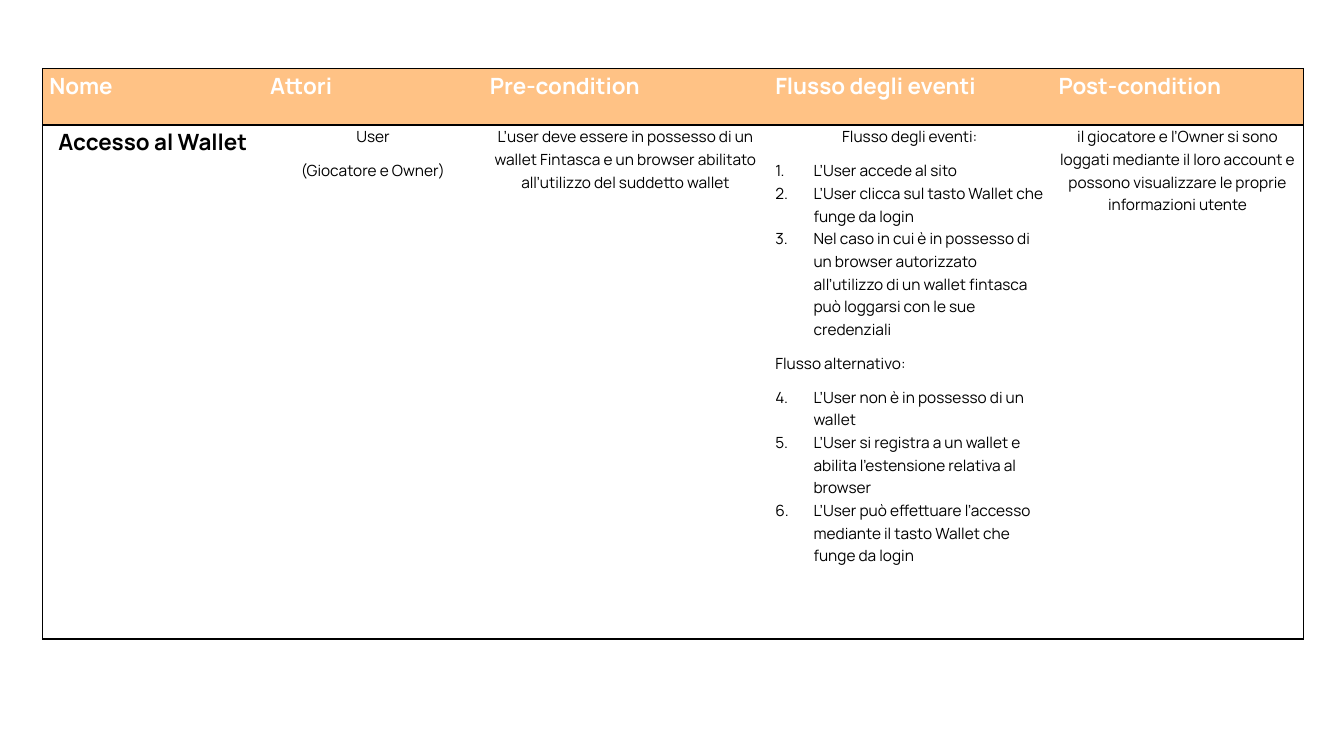
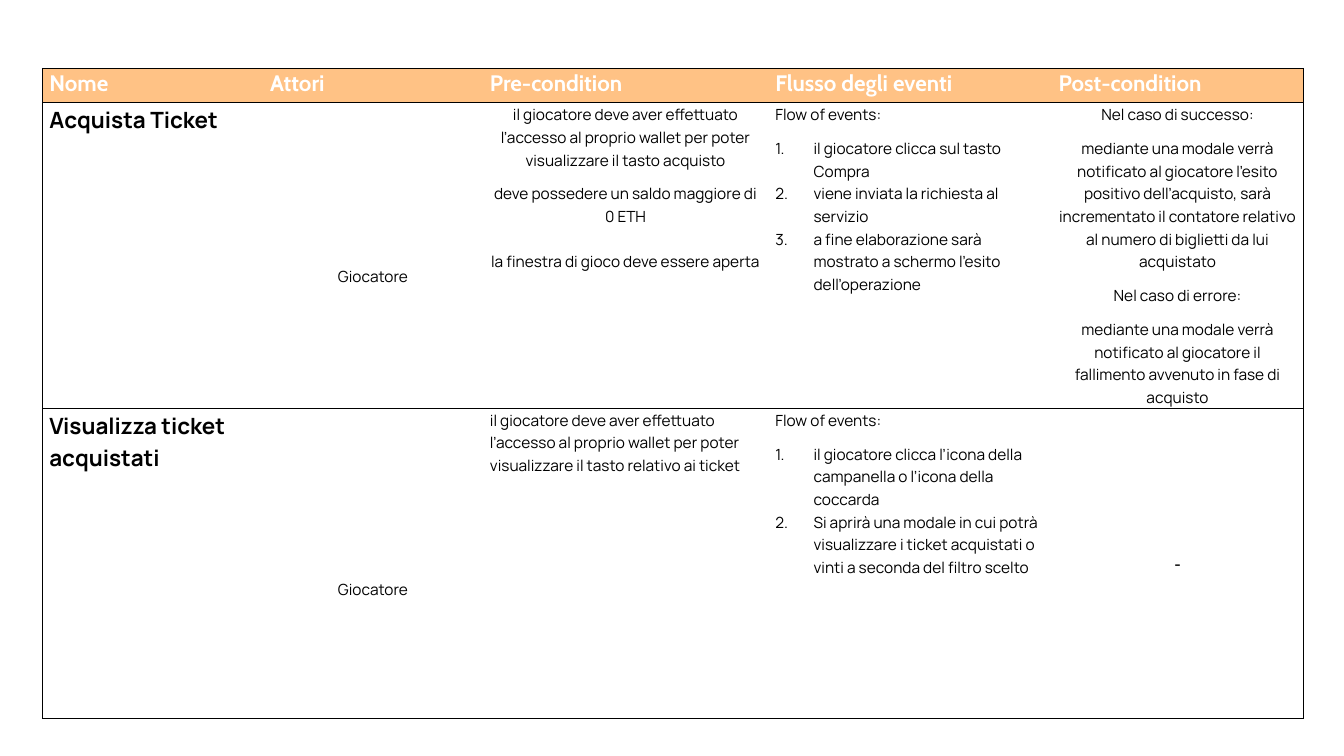
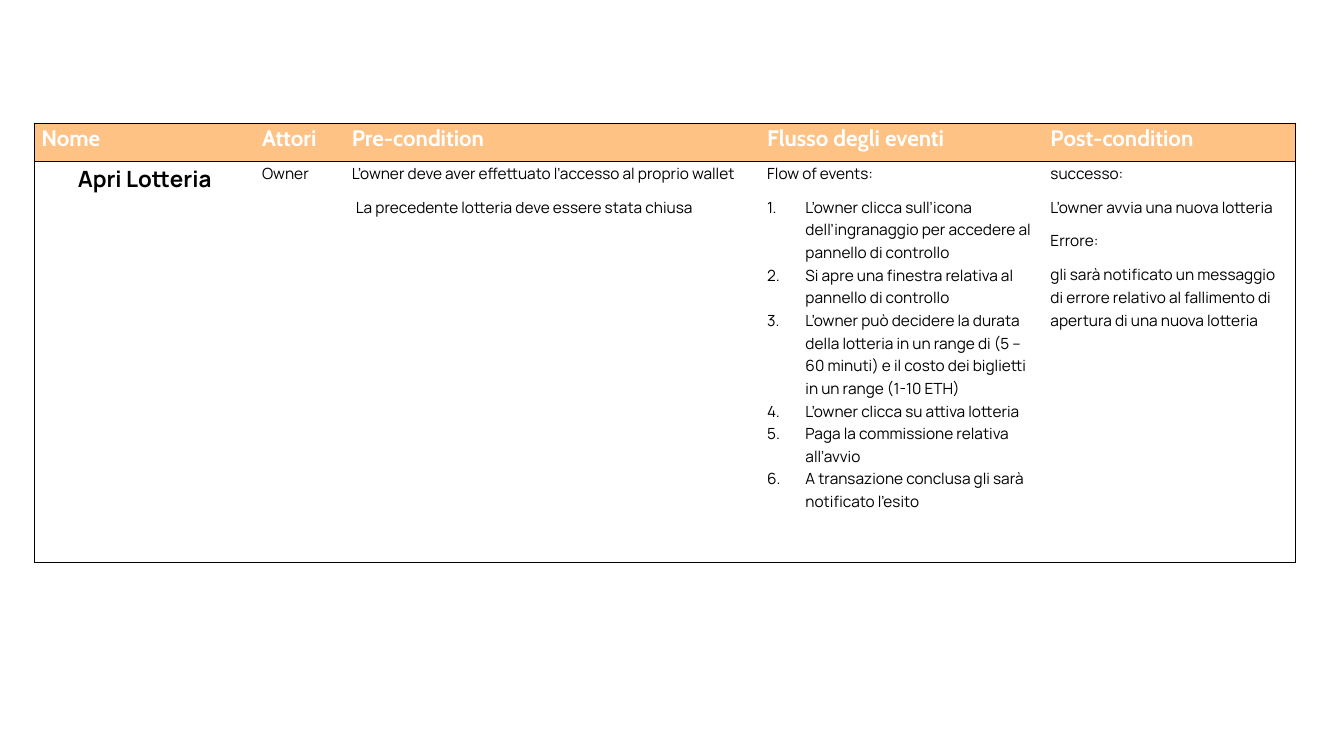
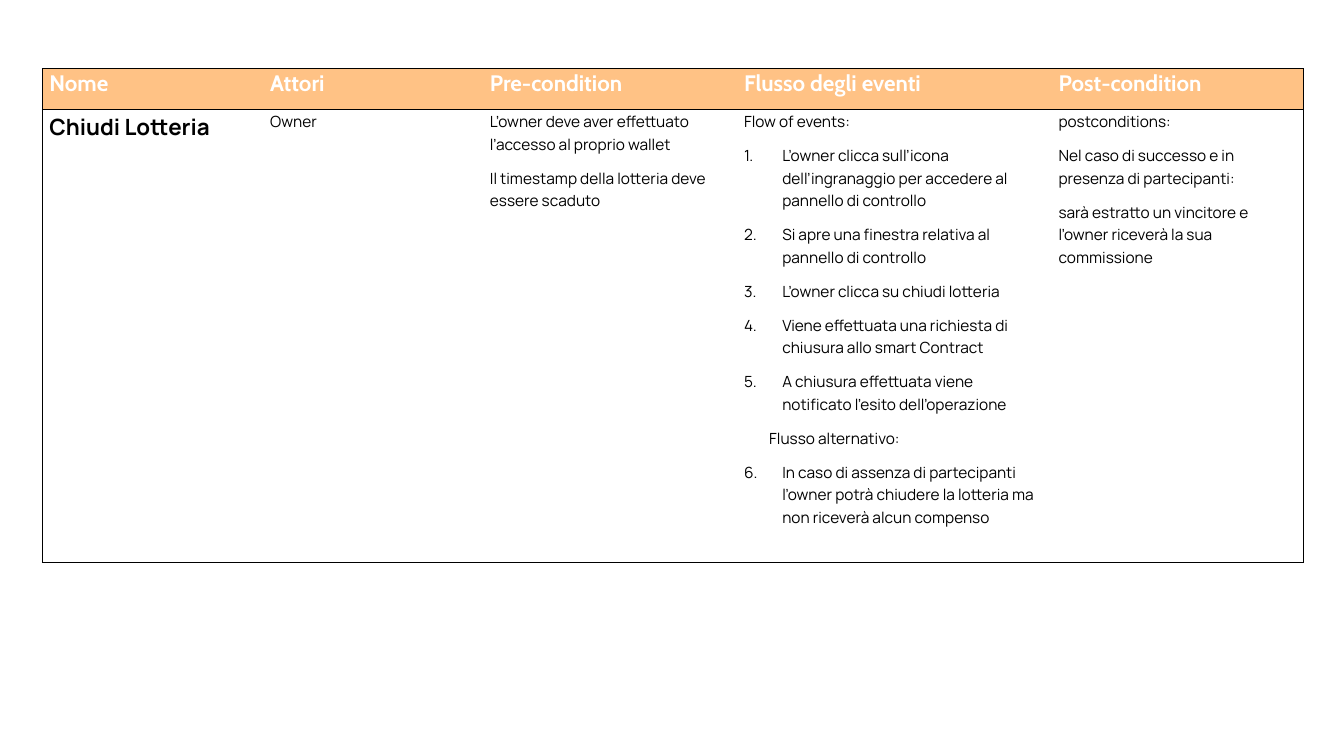
from dataclasses import dataclass

from lxml import etree
from pptx import Presentation
from pptx.dml.color import RGBColor
from pptx.enum import text
from pptx.oxml.ns import qn
from pptx.util import Inches, Pt

COLORS = {"header": "FFC285", "header_text": "FFFFFF", "ink": "000000"}
BODY_FONT = "Manrope"
HEADER_FONT = "Cabin"
HEADERS = ["Nome", "Attori", "Pre-condition", "Flusso degli eventi", "Post-condition"]
LEFT, CENTER = text.PP_ALIGN.LEFT, text.PP_ALIGN.CENTER
TOP, MIDDLE = text.MSO_ANCHOR.TOP, text.MSO_ANCHOR.MIDDLE


@dataclass
class Para:
    text: str
    align: int = LEFT
    size: int = 11
    bold: bool = False
    font: str = BODY_FONT
    color: str = "ink"
    spacing: float = 1.07
    after: int = 8
    indent: float = 0
    start: int = 0


@dataclass
class Cell:
    paras: list
    anchor: int = TOP
    top: float = 0


def lines(*texts, **style):
    return [Para(t, **style) for t in texts]


def title(name, align=LEFT):
    return Cell(lines(name, align=align, size=16, bold=True))


def steps(*texts, start=1, gap=0):
    paras = lines(*texts, start=start, indent=0.38, after=gap)
    paras[-1].after = 8
    return paras


def add_paragraph(p, para):
    p.text = para.text
    p.alignment = para.align
    p.line_spacing = para.spacing
    p.space_after = Pt(para.after)
    p.font.name = para.font
    p.font.size = Pt(para.size)
    p.font.bold = para.bold
    p.font.color.rgb = RGBColor.from_string(COLORS[para.color])
    pPr = p._p.get_or_add_pPr()
    if para.indent:
        pPr.set("marL", str(Inches(para.indent)))
    if para.start:
        pPr.set("indent", str(-Inches(para.indent)))
        bullet = etree.Element(qn("a:buAutoNum"), type="arabicPeriod")
        if para.start > 1:
            bullet.set("startAt", str(para.start))
        pPr.find(qn("a:defRPr")).addprevious(bullet)


def set_borders(cell, visible, width):
    tcPr = cell._tc.get_or_add_tcPr()
    for i, side in enumerate("LRTB"):
        ln = etree.Element(qn(f"a:ln{side}"), w=str(Pt(width)))
        if side in visible:
            fill = etree.SubElement(ln, qn("a:solidFill"))
            etree.SubElement(fill, qn("a:srgbClr"), val=COLORS["ink"])
        else:
            etree.SubElement(ln, qn("a:noFill"))
        tcPr.insert(i, ln)


def fill_cell(cell, content, header):
    cell.margin_left = cell.margin_right = Inches(0.07)
    cell.margin_top = Inches(content.top)
    cell.margin_bottom = 0
    cell.vertical_anchor = content.anchor
    if header:
        cell.fill.solid()
        cell.fill.fore_color.rgb = RGBColor.from_string(COLORS["header"])
    else:
        cell.fill.background()
    tf = cell.text_frame
    for i, para in enumerate(content.paras):
        add_paragraph(tf.add_paragraph() if i else tf.paragraphs[0], para)


def add_use_case_slide(prs, box, widths, heights, rows, line=0.75, header_font=HEADER_FONT):
    s = prs.slides.add_slide(prs.slide_layouts[6])
    header = [Cell(lines(h, size=16, bold=True, font=header_font, color="header_text"))
              for h in HEADERS]
    rows = [header] + rows
    left, top = box
    table = s.shapes.add_table(len(rows), len(widths), Inches(left), Inches(top),
                               Inches(sum(widths)), Inches(sum(heights))).table
    table.horz_banding = False
    for column, width in zip(table.columns, widths):
        column.width = Inches(width)
    for r, (row, height) in enumerate(zip(rows, heights)):
        table.rows[r].height = Inches(height)
        for c, content in enumerate(row):
            cell = table.cell(r, c)
            fill_cell(cell, content, header=r == 0)
            sides = "TB" + ("L" if c == 0 else "") + ("R" if c == len(row) - 1 else "")
            set_borders(cell, sides, line)


def wallet_rows():
    return [[
        title("Accesso al Wallet", CENTER),
        Cell(lines("User", "(Giocatore e Owner)", align=CENTER)),
        Cell(lines("L’user deve essere in possesso di un wallet Fintasca e un browser "
                   "abilitato all’utilizzo del suddetto wallet", align=CENTER)),
        Cell(lines("Flusso degli eventi:", align=CENTER)
             + steps("L’User accede al sito",
                     "L’User clicca sul tasto Wallet che funge da login",
                     "Nel caso in cui è in possesso di un browser autorizzato all’utilizzo "
                     "di un wallet fintasca può loggarsi con le sue credenziali")
             + lines("Flusso alternativo:")
             + steps("L’User non è in possesso di un wallet",
                     "L’User si registra a un wallet e abilita l’estensione relativa al browser",
                     "L’User può effettuare l’accesso mediante il tasto Wallet che funge da login",
                     start=4)),
        Cell(lines("il giocatore e l’Owner si sono loggati mediante il loro account e possono "
                   "visualizzare le proprie informazioni utente", align=CENTER)),
    ]]


def ticket_rows():
    access = "il giocatore deve aver effettuato l’accesso al proprio wallet per poter "
    buy = [
        title("Acquista Ticket"),
        Cell(lines("Giocatore", align=CENTER, spacing=3), anchor=MIDDLE),
        Cell(lines(access + "visualizzare il tasto acquisto", align=CENTER)
             + lines("deve possedere un saldo maggiore di 0 ETH", align=CENTER, after=16)
             + lines("la finestra di gioco deve essere aperta", align=CENTER)),
        Cell(lines("Flow of events:")
             + steps("il giocatore clicca sul tasto Compra",
                     "viene inviata la richiesta al servizio",
                     "a fine elaborazione sarà mostrato a schermo l’esito dell’operazione")),
        Cell(lines("Nel caso di successo:",
                   "mediante una modale verrà notificato al giocatore l’esito positivo "
                   "dell’acquisto, sarà incrementato il contatore relativo al numero di "
                   "biglietti da lui acquistato",
                   "Nel caso di errore:",
                   "mediante una modale verrà notificato al giocatore il fallimento avvenuto "
                   "in fase di acquisto", align=CENTER)),
    ]
    view = [
        title("Visualizza ticket acquistati"),
        Cell(lines("Giocatore", align=CENTER), top=1.68),
        Cell(lines(access + "visualizzare il tasto relativo ai ticket")),
        Cell(lines("Flow of events:")
             + steps("il giocatore clicca l’icona della campanella o l’icona della coccarda",
                     "Si aprirà una modale in cui potrà visualizzare i ticket acquistati o "
                     "vinti a seconda del filtro scelto")),
        Cell(lines("-", align=CENTER, bold=True), anchor=MIDDLE),
    ]
    return [buy, view]


OWNER_ACCESS = "L’owner deve aver effettuato l’accesso al proprio wallet"
OPEN_PANEL = ["L’owner clicca sull’icona dell’ingranaggio per accedere al pannello di controllo",
              "Si apre una finestra relativa al pannello di controllo"]


def open_lottery_rows():
    return [[
        title("Apri Lotteria", CENTER),
        Cell(lines("Owner")),
        Cell(lines(OWNER_ACCESS)
             + lines("La precedente lotteria deve essere stata chiusa", indent=0.04)),
        Cell(lines("Flow of events:")
             + steps(*OPEN_PANEL,
                     "L’owner può decidere la durata della lotteria in un range di "
                     "(5 – 60 minuti) e il costo dei biglietti in un range (1-10 ETH)",
                     "L’owner clicca su attiva lotteria",
                     "Paga la commissione relativa all’avvio",
                     "A transazione conclusa gli sarà notificato l’esito")),
        Cell(lines("successo:", "L’owner avvia una nuova lotteria", "Errore:",
                   "gli sarà notificato un messaggio di errore relativo al fallimento di "
                   "apertura di una nuova lotteria")),
    ]]


def close_lottery_rows():
    return [[
        title("Chiudi Lotteria"),
        Cell(lines("Owner")),
        Cell(lines(OWNER_ACCESS, "Il timestamp della lotteria deve essere scaduto")),
        Cell(lines("Flow of events:")
             + steps(*OPEN_PANEL,
                     "L’owner clicca su chiudi lotteria",
                     "Viene effettuata una richiesta di chiusura allo smart Contract",
                     "A chiusura effettuata viene notificato l’esito dell’operazione", gap=8)
             + lines("Flusso alternativo:", indent=0.25)
             + steps("In caso di assenza di partecipanti l’owner potrà chiudere la lotteria "
                     "ma non riceverà alcun compenso", start=6)),
        Cell(lines("postconditions:",
                   "Nel caso di successo e in presenza di partecipanti:",
                   "sarà estratto un vincitore e l’owner riceverà la sua commissione")),
    ]]


def main():
    prs = Presentation()
    prs.slide_width = Inches(13.33)
    prs.slide_height = Inches(7.5)
    box = (0.42, 0.68)
    widths = [2.19, 2.18, 2.83, 2.81, 2.5]
    add_use_case_slide(prs, box, widths, [0.56, 5.1], wallet_rows(), 1, BODY_FONT)
    add_use_case_slide(prs, box, widths, [0.34, 2.97, 3.08], ticket_rows(), 1)
    add_use_case_slide(prs, (0.34, 1.22), [2.19, 0.89, 4.12, 2.81, 2.5],
                       [0.38, 3.98], open_lottery_rows())
    add_use_case_slide(prs, box, [2.19, 2.18, 2.52, 3.12, 2.5],
                       [0.41, 4.49], close_lottery_rows())
    prs.save("out.pptx")


if __name__ == "__main__":
    main()
